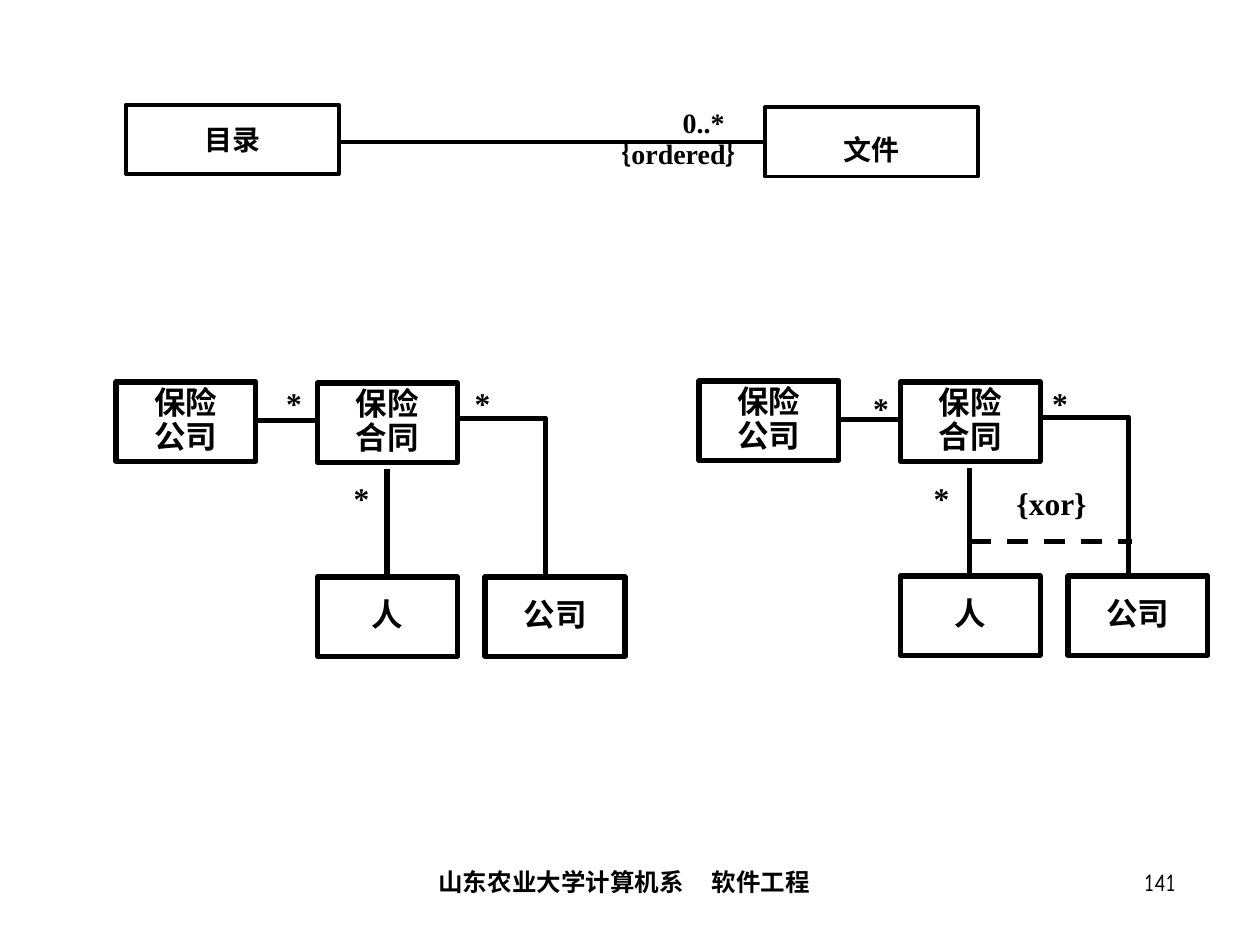
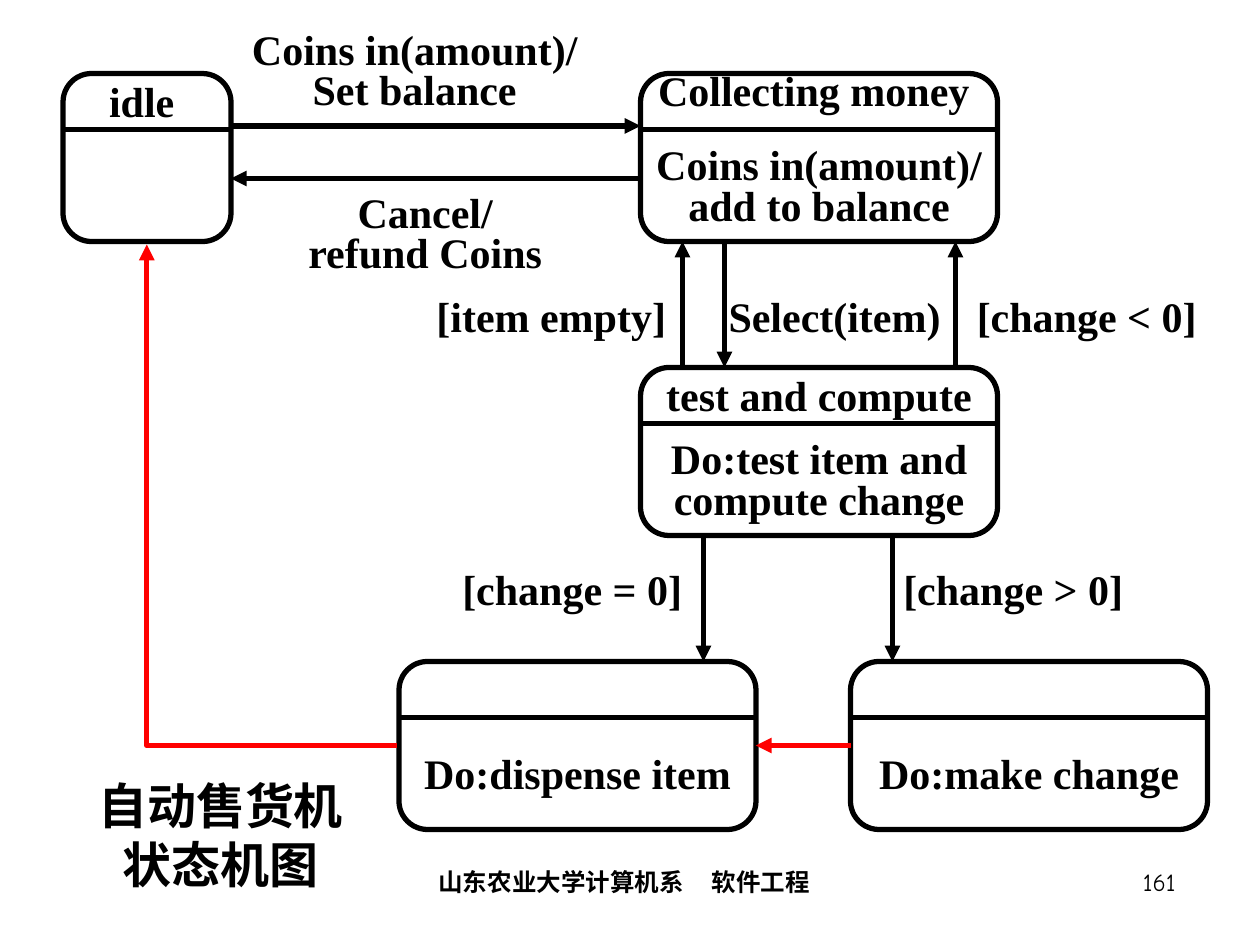
from lxml import etree
from pptx import Presentation
from pptx.dml.color import RGBColor
from pptx.enum.dml import MSO_LINE
from pptx.enum.shapes import MSO_CONNECTOR, MSO_SHAPE
from pptx.enum.text import MSO_ANCHOR, PP_ALIGN
from pptx.oxml.ns import qn
from pptx.util import Cm, Pt

LEFT, MID, RIGHT = PP_ALIGN.LEFT, PP_ALIGN.CENTER, PP_ALIGN.RIGHT
TOP, CORE = MSO_ANCHOR.TOP, MSO_ANCHOR.MIDDLE
RECT, ROUND = MSO_SHAPE.RECTANGLE, MSO_SHAPE.ROUNDED_RECTANGLE
BLACK, WHITE, RED = "000000", "FFFFFF", "FF0000"
SERIF, COMIC = "Times New Roman", "Comic Neue"
GRID = 25.4 / 120
hue = RGBColor.from_string


def put(page, text, box, shape=None, fill=None, edge=3, size=18, font=SERIF,
        bold=True, align=MID, anchor=TOP, space=None, inset=0.25, tab=None):
    area = [Cm(n) for n in box]
    if shape is None:
        item = page.shapes.add_textbox(*area)
    else:
        item = page.shapes.add_shape(shape, *area)
        item.shadow.inherit = False
        item.line.color.rgb = hue(BLACK)
        item.line.width = Pt(edge)
        if fill:
            item.fill.solid()
            item.fill.fore_color.rgb = hue(fill)
        else:
            item.fill.background()
    frame = item.text_frame
    frame.word_wrap = True
    frame.vertical_anchor = anchor
    frame.margin_left = Cm(inset)
    for i, row in enumerate(text.split("\n") if text else []):
        para = frame.add_paragraph() if i else frame.paragraphs[0]
        para.alignment = align
        if space:
            para.line_spacing = space
        if tab:
            stops = etree.SubElement(para._p.get_or_add_pPr(), qn("a:tabLst"))
            etree.SubElement(stops, qn("a:tab"), pos=str(Cm(tab)), algn="l")
        run = para.add_run()
        run.text = row
        run.font.name = font
        run.font.size = Pt(size)
        run.font.bold = bold
        run.font.color.rgb = hue(BLACK)
    return item


def link(page, ends, color=BLACK, width=3, kind=MSO_CONNECTOR.STRAIGHT,
         arrow=False, dash=False):
    item = page.shapes.add_connector(kind, *[Cm(n) for n in ends])
    item.line.color.rgb = hue(color)
    item.line.width = Pt(width)
    if dash:
        item.line.dash_style = MSO_LINE.DASH
    if arrow:
        etree.SubElement(item.line._get_or_add_ln(), qn("a:tailEnd"), type="triangle")
    etree.SubElement(item._element.spPr, qn("a:effectLst"))
    return item


deck = Presentation()
deck.slide_width, deck.slide_height = Cm(25.4), Cm(19.05)
blank = deck.slide_layouts[6]
pages = []
for num in ("141", "161"):
    page = deck.slides.add_slide(blank)
    put(page, "山东农业大学计算机系\t软件工程", (5.08, 17.35, 15.04, 1.27),
        size=14, font=COMIC, align=LEFT, inset=3.76, tab=5.51)
    put(page, num, (18.67, 17.35, 5.28, 1.27), size=14, font=COMIC,
        bold=False, align=RIGHT)
    pages.append(page)
uml, state = pages

link(uml, (6.83, 2.87, 15.42, 2.87), width=2.25)
for text, x, y, space in (("目录", 2.54, 2.11, None), ("文件", 15.42, 2.16, 1.44)):
    put(uml, text, (x, y, 4.29, 1.4), shape=RECT, fill=WHITE, edge=2.25,
        size=16, anchor=CORE, space=space)
put(uml, "0..*", (10.26, 1.7, 6.86, 1.4), size=16, space=1.44, inset=1.24)
put(uml, "｛ordered｝", (8.56, 2.62, 6.88, 1.4), size=16, align=RIGHT)

for dx, dy in ((0, 0), (11.75, -0.02)):
    for text, x, y in (("保险\n公司", 2.34, 7.7), ("保险\n合同", 6.4, 7.72),
                       ("人", 6.4, 11.63), ("公司", 9.78, 11.63)):
        put(uml, text, (x + dx, y + dy, 2.82, 1.6), shape=RECT,
            anchor=CORE, space=0.88)
    for x1, y1, x2, y2 in ((5.13, 8.48, 6.4, 8.48), (7.8, 9.45, 7.8, 11.58)):
        link(uml, (x1 + dx, y1 + dy, x2 + dx, y2 + dy))
    bend = [(Cm(x + dx), Cm(y + dy))
            for x, y in ((9.22, 8.43), (11, 8.43), (11, 11.63))]
    pen = uml.shapes.build_freeform(*bend[0])
    pen.add_line_segments(bend[1:], close=False)
    path = pen.convert_to_shape()
    path.shadow.inherit = False
    path.fill.background()
    path.line.color.rgb = hue(BLACK)
    path.line.width = Pt(3)

for x, y, inset in ((9.32, 7.62, 0.25), (4.88, 7.62, 0.89), (6.55, 9.53, 0.58),
                    (20.96, 7.62, 0.25), (17.35, 7.72, 0.25), (18.24, 9.53, 0.58)):
    put(uml, "*", (x, y, 1.52, 1.2), align=LEFT, inset=inset)
put(uml, "{xor}", (20.24, 9.73, 2.06, 1.35), align=LEFT, space=0.88)
link(uml, (19.56, 10.92, 22.81, 10.92), dash=True)

for x, y, w in ((6, 7, 16), (61, 7, 34), (61, 35, 34), (38, 63, 34), (81, 63, 34)):
    node = put(state, "", [n * GRID for n in (x, y, w, 16)], shape=ROUND)
    node.adjustments[0] = 0.17
    link(state, [n * GRID for n in (x, y + 5.33, x + w, y + 5.33)])

for text, *box in (
    ("idle", 8, 7, 11, 6),
    ("Collecting money", 61, 7, 33, 4),
    ("Coins in(amount)/\nadd to balance", 61, 12, 34, 12),
    ("test and compute", 61, 36, 34, 4),
    ("Do:test item and compute change", 61, 40, 34, 12),
    ("Do:dispense item", 38, 68, 34, 12),
    ("Do:make change", 81, 68, 34, 12),
    ("Select(item)", 68, 27, 23, 7),
    ("[change < 0]", 91, 27, 25, 7),
    ("[item empty]", 40, 27, 25, 7),
    ("Coins in(amount)/\nSet balance", 22, 2, 35, 10),
    ("Cancel/\nrefund Coins", 26, 18, 29, 9),
    ("[change > 0]", 84, 53, 25, 7),
    ("[change = 0]", 42, 53, 25, 7),
):
    put(state, text, [n * GRID for n in box], size=24, anchor=CORE, space=0.8)
put(state, "自动售货机状态机图", [n * GRID for n in (7, 73, 28, 13)],
    size=28, anchor=CORE)

for color, *ends in (
    (BLACK, 22, 12, 61, 12),
    (BLACK, 61, 17, 22, 17),
    (BLACK, 65, 35, 65, 23),
    (BLACK, 69, 23, 69, 35),
    (BLACK, 91, 35, 91, 23),
    (BLACK, 67, 51, 67, 63),
    (BLACK, 85, 51, 85, 63),
    (RED, 81, 71, 72, 71),
):
    link(state, [n * GRID for n in ends], color=color, arrow=True)

back = link(state, (2.96, 4.93, 8, 15.03), color=RED,
            kind=MSO_CONNECTOR.ELBOW, arrow=True)
prop = back._element.spPr
prop.find(qn("a:xfrm")).set("rot", "10800000")
prop.find(qn("a:prstGeom")).set("prst", "bentConnector2")

deck.save("out.pptx")
